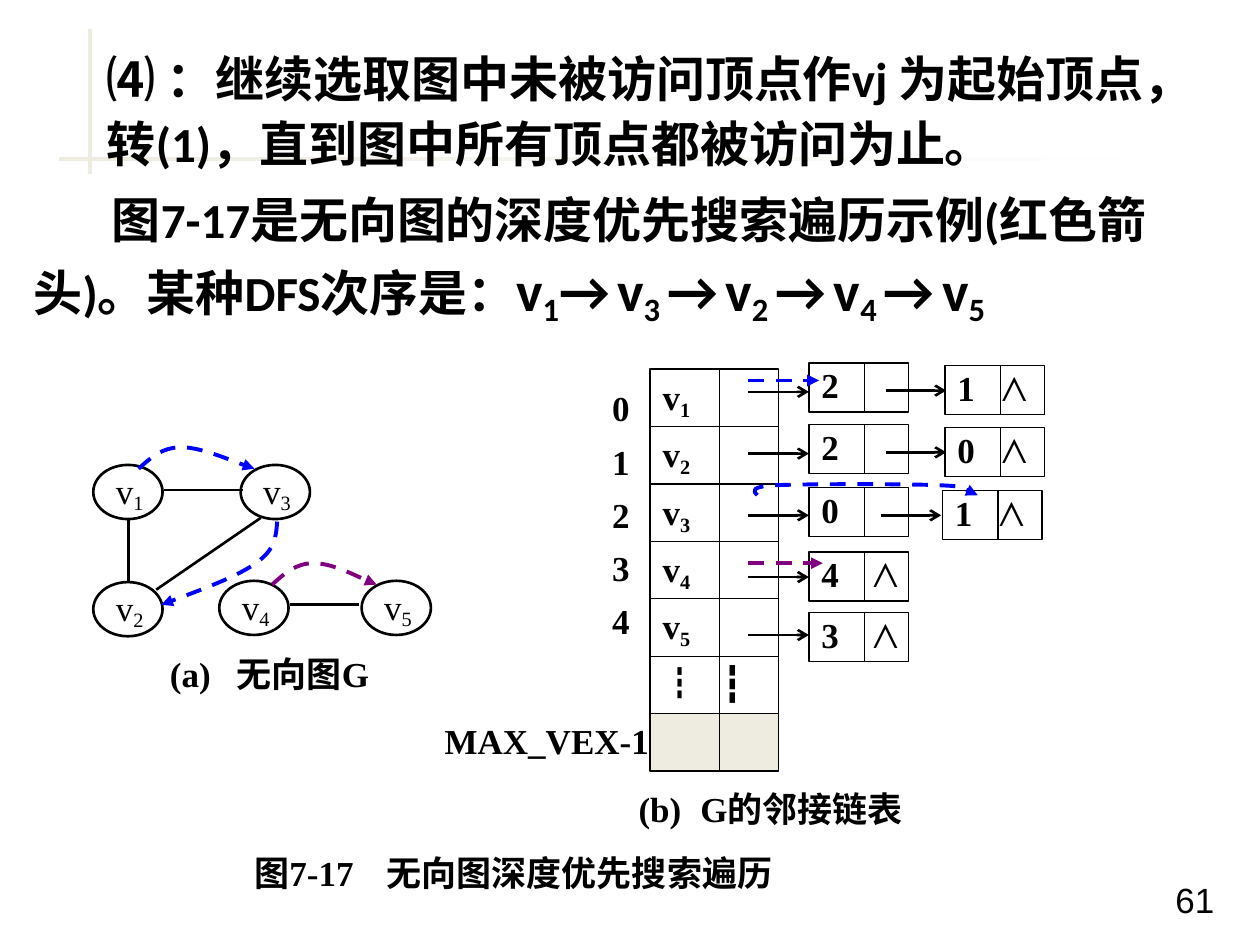
import pptx
import pptx.util
import pptx.dml.color
import pptx.enum.dml
import pptx.enum.shapes
import pptx.enum.text
import pptx.oxml
import pptx.oxml.ns

Inches = pptx.util.Inches
Pt = pptx.util.Pt
RGB = pptx.dml.color.RGBColor.from_string
SHAPE = pptx.enum.shapes.MSO_SHAPE
ANCHOR = pptx.enum.text.MSO_ANCHOR
NS = pptx.oxml.ns.nsdecls("a")
qn = pptx.oxml.ns.qn

COLORS = {"ink": "000000", "beige": "EEECE1", "white": "FFFFFF",
          "visit": "0000FF", "restart": "800080"}
SERIF, CJK = "Times New Roman", "Noto Sans CJK SC"

prs = pptx.Presentation()
prs.slide_width, prs.slide_height = Inches(10), Inches(7.5)
s = prs.slides.add_slide(prs.slide_layouts[6])


def text(paras, box, shape=None, fill=None, border=0.75, size=20, font=SERIF,
         bold=True, anchor=ANCHOR.MIDDLE, wrap=False, spacing=0.9, before=4,
         tab=None, indents=()):
    """Write paragraphs, each a list of (text, run format), in a box or shape."""
    box = [Inches(v) for v in box]
    if shape is None:
        sp = s.shapes.add_textbox(*box)
    else:
        sp = s.shapes.add_shape(shape, *box)
        sp.shadow.inherit = False
        sp.line.color.rgb = RGB(COLORS["ink"])
        sp.line.width = Pt(border)
        if fill:
            sp.fill.solid()
            sp.fill.fore_color.rgb = RGB(COLORS[fill])
        else:
            sp.fill.background()
    tf = sp.text_frame
    tf.word_wrap = wrap
    tf.vertical_anchor = anchor
    for i, runs in enumerate(paras):
        p = tf.add_paragraph() if i else tf.paragraphs[0]
        p.alignment = pptx.enum.text.PP_ALIGN.LEFT
        p.line_spacing = spacing
        if i:
            p.space_before = Pt(before)
        pPr = p._p.get_or_add_pPr()
        if indents:
            margin, first = indents[i]
            pPr.set("marL", str(Inches(margin)))
            pPr.set("indent", str(Inches(first)))
        if tab:
            pPr.append(pptx.oxml.parse_xml(
                f'<a:tabLst {NS}><a:tab pos="{Inches(tab)}" algn="l"/></a:tabLst>'))
        for content, fmt in runs:
            r = p.add_run()
            r.text = content
            r.font.size = Pt(fmt.get("size", size))
            r.font.name = fmt.get("font", font)
            r.font.bold = fmt.get("bold", bold)
            r.font.color.rgb = RGB(COLORS["ink"])
            rPr = r._r.get_or_add_rPr()
            rPr.append(pptx.oxml.parse_xml(f'<a:ea {NS} typeface="{CJK}"/>'))
            if "base" in fmt:
                rPr.set("baseline", str(fmt["base"] * 1000))


def line(pts, color="ink", width=1.5, dash=False, arrow=None):
    """Draw a straight line through two points, or a chain of cubic curves."""
    pts = [(Inches(x), Inches(y)) for x, y in pts]
    if len(pts) == 2:
        sp = s.shapes.add_connector(pptx.enum.shapes.MSO_CONNECTOR.STRAIGHT,
                                    *pts[0], *pts[1])
        sp._element.spPr.append(pptx.oxml.parse_xml(f"<a:effectLst {NS}/>"))
    else:
        fb = s.shapes.build_freeform(*pts[0])
        fb.add_line_segments(pts[1:], close=False)
        sp = fb.convert_to_shape()
        sp.shadow.inherit = False
        sp.fill.background()
        # Each three line segments become one cubic curve
        segments = list(sp._element.iter(qn("a:lnTo")))
        for k in range(0, len(segments), 3):
            cubic = pptx.oxml.parse_xml(f"<a:cubicBezTo {NS}/>")
            segments[k].addprevious(cubic)
            for seg in segments[k:k + 3]:
                cubic.append(seg[0])
                seg.getparent().remove(seg)
    sp.line.color.rgb = RGB(COLORS[color])
    sp.line.width = Pt(width)
    if dash:
        sp.line.dash_style = pptx.enum.dml.MSO_LINE.DASH
    if arrow:
        sp.line._get_or_add_ln().append(
            pptx.oxml.parse_xml(f'<a:tailEnd {NS} type="{arrow}"/>'))


# Background rules
for box in ((0.7, 0.23, 0.03, 1.15), (0.47, 1.25, 9, 0.03)):
    sp = s.shapes.add_shape(SHAPE.RECTANGLE, *[Inches(v) for v in box])
    sp.shadow.inherit = False
    sp.line.fill.background()
    if box[2] > box[3]:
        sp.fill.gradient()
        sp.fill.gradient_angle = 0
        for stop, name, pos in zip(sp.fill.gradient_stops, ("beige", "white"), (0, 1)):
            stop.color.rgb = RGB(COLORS[name])
            stop.position = pos
    else:
        sp.fill.solid()
        sp.fill.fore_color.rgb = RGB(COLORS["beige"])

# Page number
text([[("61", {})]], (9.23, 6.96, 0.78, 0.4), font="Arial", bold=False, anchor=ANCHOR.TOP)

# Body text
big, sub = {"size": 32}, {"size": 32, "base": -18}
order = [("v", big), ("1", sub)]
for n in "3245":
    order += [("→", big), (" ", sub), ("v", big), (n if n == "5" else n + " ", sub)]
text([[("⑷ ", {"font": CJK}),
       ("：继续选取图中未被访问顶点作vj 为起始顶点，转(1)，直到图中所有顶点都被访问为止。", {})],
      [("图7-17是无向图的深度优先搜索遍历示例(红色箭头)。某种DFS次序是", {}),
       ("：", {"font": CJK})] + order],
     (0.17, 0.29, 9.64, 2.36), size=28, font="Calibri", anchor=ANCHOR.TOP,
     wrap=True, spacing=1.1, before=6.5, indents=((0.58, 0), (0, 0.62)))

# Captions
for content, box, tab in (("图7-17\t无向图深度优先搜索遍历", (1.92, 6.77, 4.4, 0.35), 1.05),
                          ("(a)\t无向图G", (1.25, 5.19, 1.9, 0.35), 0.53),
                          ("(b)\tG的邻接链表", (4.97, 6.26, 2.4, 0.35), 0.49)):
    text([[(content, {})]], box, tab=tab)

# (a) Graph: vertices, edges, visiting order
for n, x, y in (("1", 0.74, 3.69), ("2", 0.74, 4.62), ("3", 1.91, 3.69),
                ("4", 1.74, 4.61), ("5", 2.87, 4.61)):
    text([[("v", {}), (n, {"base": -18})]], (x, y, 0.55, 0.43), shape=SHAPE.OVAL,
         border=1.5, bold=False)
for edge in (((1.02, 4.12), (1.02, 4.62)), ((1.24, 4.68), (2.07, 4.11)),
             ((1.3, 3.89), (1.93, 3.89)), ((2.3, 4.8), (2.85, 4.8))):
    line(edge)
visits = (
    ("visit", [(1.1, 3.72), (1.19, 3.64), (1.28, 3.55), (1.44, 3.55),
               (1.59, 3.55), (1.92, 3.69), (2.02, 3.72)]),
    ("visit", [(2.2, 4.14), (2.19, 4.25), (2.19, 4.36), (2.03, 4.47),
               (1.88, 4.58), (1.41, 4.75), (1.28, 4.8)]),
    ("restart", [(2.16, 4.64), (2.26, 4.55), (2.35, 4.47), (2.49, 4.47),
                 (2.63, 4.47), (2.91, 4.61), (2.99, 4.64)]))
for color, pts in visits:
    line(pts, color=color, width=2.25, dash=True, arrow="triangle")

# (b) Adjacency list: indices and head column
text([[(str(n), {})] for n in range(5)], (4.76, 2.91, 0.39, 2.31), spacing=1.1)
text([[("MAX_VEX-1", {})]], (3.43, 5.7, 1.9, 0.39))
heads = [[("v", {}), (str(n), {"base": -20})] for n in range(1, 6)]
heads += [[("┇", {"font": CJK}), ("\t┇", {})], []]
ROW = 3.19 / 7
for i, runs in enumerate(heads):
    y = 2.93 + i * ROW
    text([runs], (5.16, y, 1.02, ROW), shape=SHAPE.RECTANGLE, tab=0.47,
         fill="beige" if not runs else None)
    line(((5.71, y), (5.71, y + ROW)), width=0.75)

# List nodes: left, top, content, tab, start and height of the incoming arrow
nodes = ((6.42, 2.88, "2", None, 5.94, 3.11), (7.5, 2.9, "1\t⋀", 0.35, 7.03, 3.1),
         (6.42, 3.37, "2", None, 5.94, 3.6), (7.5, 3.39, "0\t⋀", 0.35, 7.03, 3.59),
         (6.42, 3.87, "0", None, 5.94, 4.09), (7.48, 3.89, "1\t⋀", 0.35, 6.99, 4.09),
         (6.42, 4.38, "4\t⋀", 0.41, 5.94, 4.58), (6.42, 4.86, "3\t⋀", 0.41, 5.94, 5.04))
for x, y, content, tab, start, arrow_y in nodes:
    runs = [(content[0], {})]
    if tab:
        runs.append((content[1:], {"bold": False}))
    text([runs], (x, y, 0.79, 0.39), shape=SHAPE.RECTANGLE, tab=tab)
    line(((x + 0.44, y), (x + 0.44, y + 0.39)), width=0.75)
    line(((start, arrow_y), (start + 0.48, arrow_y)), arrow="arrow")

# Visiting order in the list
for color, pts in (
        ("visit", [(5.94, 3.02), (6.5, 3.02)]),
        ("restart", [(5.94, 4.47), (6.53, 4.47)]),
        ("visit", [(6.01, 3.93), (5.98, 3.9), (5.94, 3.86), (6.18, 3.85),
                   (6.42, 3.84), (7.17, 3.84), (7.43, 3.85),
                   (7.69, 3.86), (7.71, 3.92), (7.76, 3.93)])):
    line(pts, color=color, width=2.25, dash=True, arrow="triangle")

prs.save("out.pptx")
